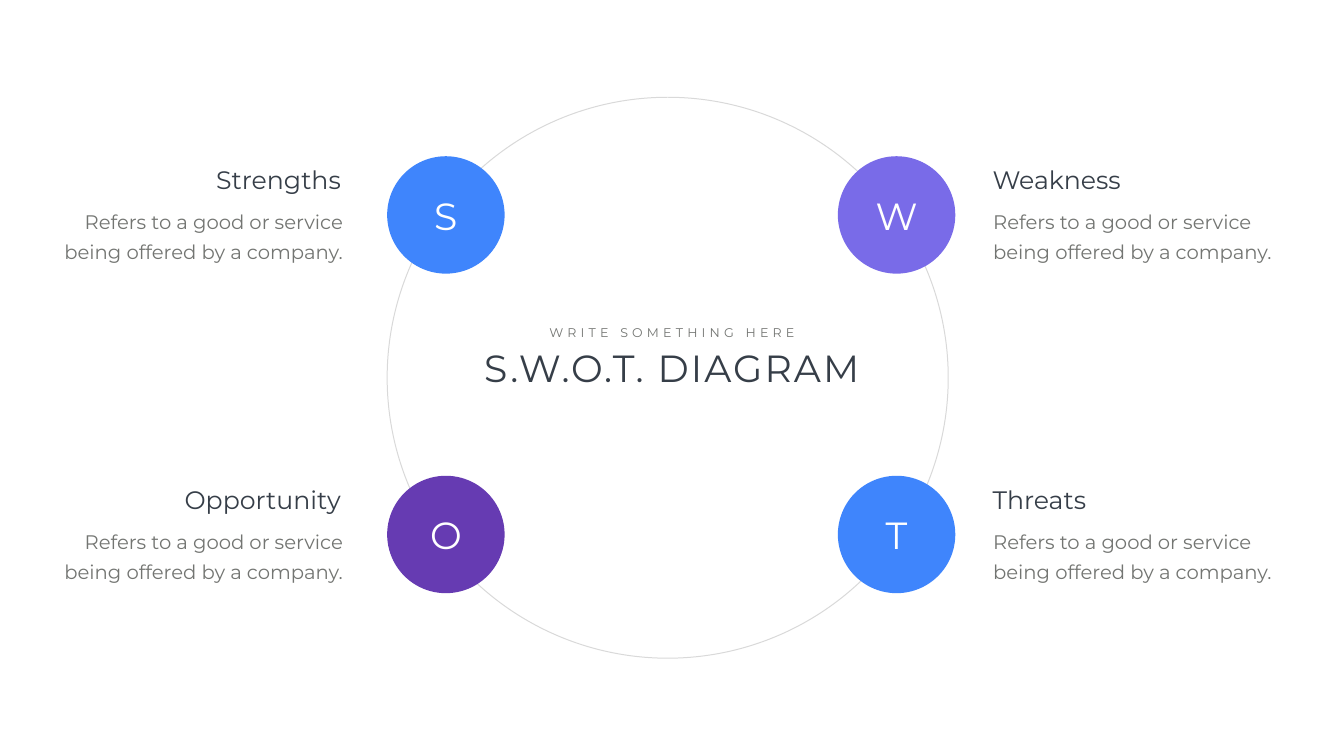
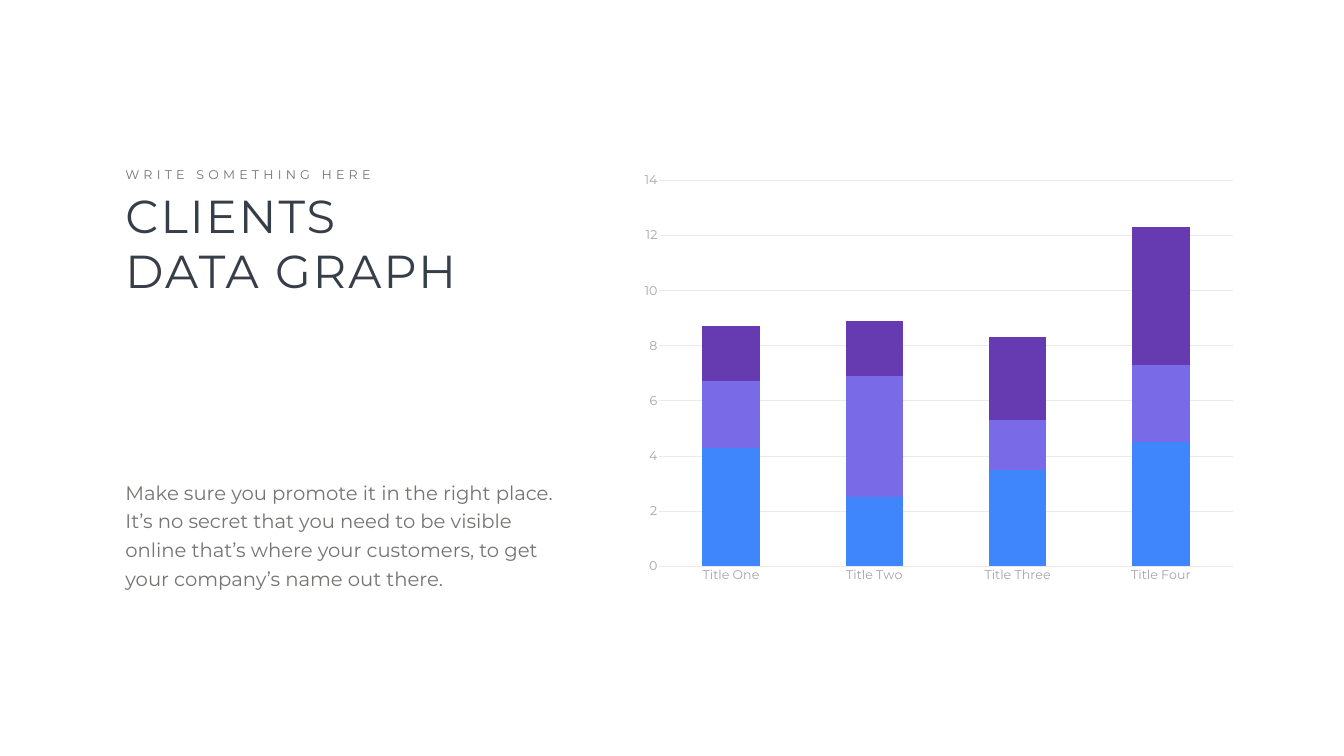
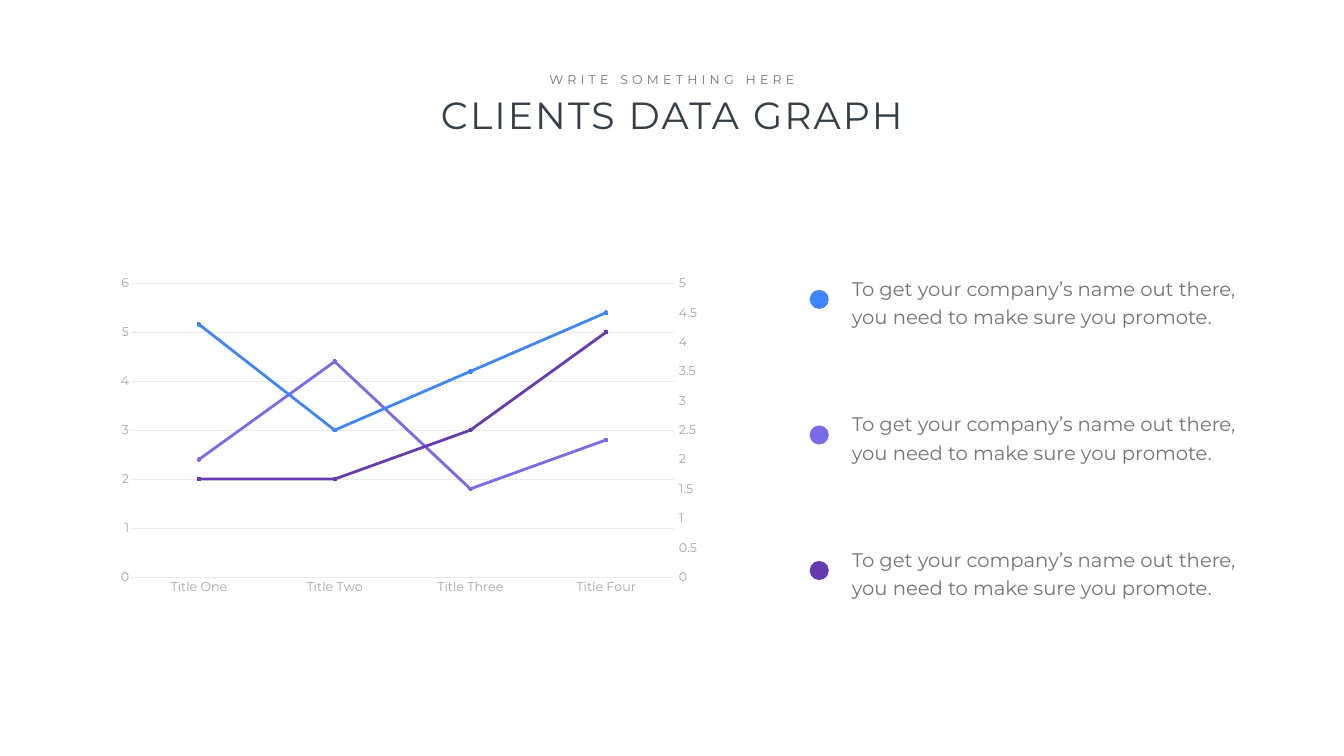
from copy import deepcopy

from lxml import etree
from pptx import Presentation
from pptx.chart.data import CategoryChartData
from pptx.dml.color import RGBColor
from pptx.enum.chart import XL_CHART_TYPE, XL_MARKER_STYLE, XL_TICK_MARK
from pptx.enum.shapes import MSO_SHAPE
from pptx.enum.text import MSO_ANCHOR, MSO_AUTO_SIZE, PP_ALIGN
from pptx.oxml.ns import qn
from pptx.util import Inches, Pt

LEFT, CENTER, RIGHT = PP_ALIGN.LEFT, PP_ALIGN.CENTER, PP_ALIGN.RIGHT
MIDDLE = MSO_ANCHOR.MIDDLE
FIT_SHAPE = MSO_AUTO_SIZE.SHAPE_TO_FIT_TEXT
OVAL = MSO_SHAPE.OVAL
STACKED, LINES = XL_CHART_TYPE.COLUMN_STACKED, XL_CHART_TYPE.LINE_MARKERS
NO_TICK = XL_TICK_MARK.NONE
CIRCLE = XL_MARKER_STYLE.CIRCLE

FONT = "Montserrat"
BLUE, VIOLET, PURPLE = "3F85FC", "796BE8", "663BB2"
DARK, GRAY, LABEL_GRAY = "363E48", "737572", "A4A6A3"
GRID_GRAY, RING_GRAY, WHITE = "EAEAEA", "D9D9D9", "FFFFFF"

CATEGORIES = ["Title One", "Title Two", "Title Three", "Title Four"]
BLUE_VALUES = (4.3, 2.5, 3.5, 4.5)
VIOLET_VALUES = (2.4, 4.4, 1.8, 2.8)
PURPLE_VALUES = (2, 2, 3, 5)


def rgb(color):
    return RGBColor.from_string(color)


def add_slide(prs):
    s = prs.slides.add_slide(prs.slide_layouts[6])
    s.background.fill.solid()
    s.background.fill.fore_color.rgb = rgb(WHITE)
    return s


def write(tf, text, size, color, align=LEFT, tracking=0, leading=None):
    """Put one run in the frame; tracking and leading are in points."""
    p = tf.paragraphs[0]
    p.alignment = align
    if leading:
        p.line_spacing = Pt(leading)
    r = p.add_run()
    r.text = text
    r.font.name = FONT
    r.font.size = Pt(size)
    r.font.color.rgb = rgb(color)
    if tracking:
        r.font._element.set("spc", str(tracking * 100))


def add_text(s, box, text, size, color, wrap=True, inset=(0.1, 0.05), **style):
    tf = s.shapes.add_textbox(*map(Inches, box)).text_frame
    tf.word_wrap = wrap
    tf.auto_size = FIT_SHAPE
    tf.margin_left = tf.margin_right = Inches(inset[0])
    tf.margin_top = tf.margin_bottom = Inches(inset[1])
    write(tf, text, size, color, **style)


def add_title(s, box, text, size=54, align=CENTER):
    """Add a title with its small kicker line just above."""
    left, top, width, _ = box
    kicker_left = left if align == LEFT else left + (width - 5.18) / 2
    add_text(s, box, text, size, DARK, align=align, tracking=3)
    add_text(s, (kicker_left, top - 0.4, 5.18, 0.4), "WRITE SOMETHING HERE",
             18, GRAY, wrap=False, align=align, tracking=6)


def add_circle(s, left, top, size, fill=None, line=None):
    sp = s.shapes.add_shape(OVAL, *map(Inches, (left, top, size, size)))
    sp.shadow.inherit = False
    if fill:
        sp.fill.solid()
        sp.fill.fore_color.rgb = rgb(fill)
    else:
        sp.fill.background()
    if line:
        sp.line.color.rgb = rgb(line)
        sp.line.width = Pt(1.42)
    else:
        sp.line.fill.background()
    return sp


def add_swot_item(s, top, on_left, heading, color):
    """Add a lettered circle with its heading and description beside it."""
    sp = add_circle(s, 7.68 if on_left else 16.62, top, 2.33, color)
    sp.text_frame.vertical_anchor = MIDDLE
    write(sp.text_frame, heading[0], 54, WHITE, align=CENTER, tracking=3)
    align = RIGHT if on_left else LEFT
    add_text(s, (0.94 if on_left else 19.46, top + 0.82, 6.1, 1.39),
             "Refers to a good or service being offered by a company.",
             28, GRAY, inset=(0.24, 0.12), align=align, leading=43)
    add_text(s, (2.05 if on_left else 19.59, top + 0.11, 4.81, 0.71),
             heading, 36, DARK, align=align)


def set_plot_area(chart, box, plot):
    """Fix the inner plot area; both boxes are in slide inches."""
    area = chart.plots[0]._element.getparent()
    for old in area.findall(qn("c:layout")):
        area.remove(old)
    layout = etree.Element(qn("c:layout"))
    manual = etree.SubElement(layout, qn("c:manualLayout"))
    values = {
        "layoutTarget": "inner", "xMode": "edge", "yMode": "edge",
        "x": (plot[0] - box[0]) / box[2], "y": (plot[1] - box[1]) / box[3],
        "w": plot[2] / box[2], "h": plot[3] / box[3],
    }
    for name, value in values.items():
        etree.SubElement(manual, qn(f"c:{name}")).set("val", str(value))
    area.insert(0, layout)


def style_font(font, color):
    font.name = FONT
    font.size = Pt(18)
    font.color.rgb = rgb(color)


def style_line(line, color, width):
    line.color.rgb = rgb(color)
    line.width = Pt(width)


def add_chart(s, kind, box, plot, series, top_value, step):
    data = CategoryChartData()
    data.categories = CATEGORIES
    for i, (values, _) in enumerate(series, 1):
        data.add_series(f"Series {i}", values)
    chart = s.shapes.add_chart(kind, *map(Inches, box), data).chart
    chart.has_legend = chart.has_title = False
    style_font(chart.font, GRAY)
    set_plot_area(chart, box, plot)
    cat, val = chart.category_axis, chart.value_axis
    for axis in (cat, val):
        axis.major_tick_mark = axis.minor_tick_mark = NO_TICK
        style_font(axis.tick_labels.font, LABEL_GRAY)
    style_line(cat.format.line, GRID_GRAY, 0.75)
    val.format.line.fill.background()
    val.has_major_gridlines = True
    style_line(val.major_gridlines.format.line, GRID_GRAY, 0.75)
    val.minimum_scale, val.maximum_scale, val.major_unit = 0, top_value, step
    chart.plots[0].vary_by_categories = False
    for ser, (_, color) in zip(chart.plots[0].series, series):
        if kind == LINES:
            style_line(ser.format.line, color, 4)
            ser.smooth = False
            ser.marker.style, ser.marker.size = CIRCLE, 5
            fills = [ser.marker.format.fill]
            ser.marker.format.line.color.rgb = rgb(color)
        else:
            fills = [ser.format.fill]
        for fill in fills:
            fill.solid()
            fill.fore_color.rgb = rgb(color)
    return chart


def move_last_series_right(chart, top_value, step):
    """Plot the last series against a second value axis on the right."""
    def put(parent, tag, value):
        parent.find(qn(f"c:{tag}")).set("val", value)

    cat_id, val_id = "50010", "50020"
    main = chart.plots[0]._element
    second = deepcopy(main)
    main.remove(main.findall(qn("c:ser"))[-1])
    for ser in second.findall(qn("c:ser"))[:-1]:
        second.remove(ser)
    for ax_id, value in zip(second.findall(qn("c:axId")), (cat_id, val_id)):
        ax_id.set("val", value)
    main.addnext(second)

    val_ax = chart.value_axis._element
    right_ax, hidden_ax = deepcopy(val_ax), deepcopy(chart.category_axis._element)
    for axis, own, other in ((right_ax, val_id, cat_id), (hidden_ax, cat_id, val_id)):
        put(axis, "axId", own)
        put(axis, "crossAx", other)
    put(hidden_ax, "delete", "1")
    right_ax.remove(right_ax.find(qn("c:majorGridlines")))
    put(right_ax, "axPos", "r")
    put(right_ax, "majorTickMark", "out")
    put(right_ax, "crosses", "max")
    put(right_ax, "majorUnit", str(step))
    put(right_ax.find(qn("c:scaling")), "max", str(top_value))
    val_ax.addnext(right_ax)
    right_ax.addnext(hidden_ax)


def build_swot(prs):
    s = add_slide(prs)
    add_title(s, (8.18, 6.79, 10.3, 1.01), "S.W.O.T. DIAGRAM")
    add_circle(s, 7.68, 1.93, 11.13, line=RING_GRAY)
    items = [("Strengths", BLUE), ("Weakness", VIOLET),
             ("Opportunity", PURPLE), ("Threats", BLUE)]
    for i, (heading, color) in enumerate(items):
        add_swot_item(s, 3.1 + i // 2 * 6.34, i % 2 == 0, heading, color)


def build_column_graph(prs):
    s = add_slide(prs)
    series = [(BLUE_VALUES, BLUE), (VIOLET_VALUES, VIOLET), (PURPLE_VALUES, PURPLE)]
    chart = add_chart(s, STACKED, (12.52, 3.26, 12.17, 8.49),
                      (13.08, 3.58, 11.37, 7.65), series, 14, 2)
    chart.plots[0].gap_width = 150
    chart.plots[0].overlap = 100
    add_text(s, (2.39, 9.39, 8.86, 2.35),
             "Make sure you promote it in the right place. It’s no secret that "
             "you need to be visible online that’s where your customers, to get "
             "your company’s name out there.", 28, GRAY, leading=40.8)
    add_title(s, (2.39, 3.66, 7.36, 2.32), "CLIENTS DATA GRAPH", 66, LEFT)


def build_line_graph(prs):
    s = add_slide(prs)
    add_title(s, (7.38, 1.77, 11.9, 1.01), "CLIENTS DATA GRAPH")
    for i, color in enumerate((BLUE, VIOLET, PURPLE)):
        top = 5.34 + i * 2.69
        add_circle(s, 16.06, top + 0.41, 0.38, color)
        add_text(s, (16.8, top, 8.05, 1.2),
                 "To get your company’s name out there, you need to make sure "
                 "you promote.", 28, GRAY, leading=40.8)
    series = [(VIOLET_VALUES, VIOLET), (PURPLE_VALUES, PURPLE), (BLUE_VALUES, BLUE)]
    chart = add_chart(s, LINES, (2.16, 5.34, 11.9, 6.59),
                      (2.6, 5.62, 10.77, 5.83), series, 6, 1)
    move_last_series_right(chart, 5, 0.5)


def main():
    prs = Presentation()
    prs.slide_width, prs.slide_height = Inches(26.66), Inches(15)
    build_swot(prs)
    build_column_graph(prs)
    build_line_graph(prs)
    prs.save("out.pptx")


if __name__ == "__main__":
    main()
